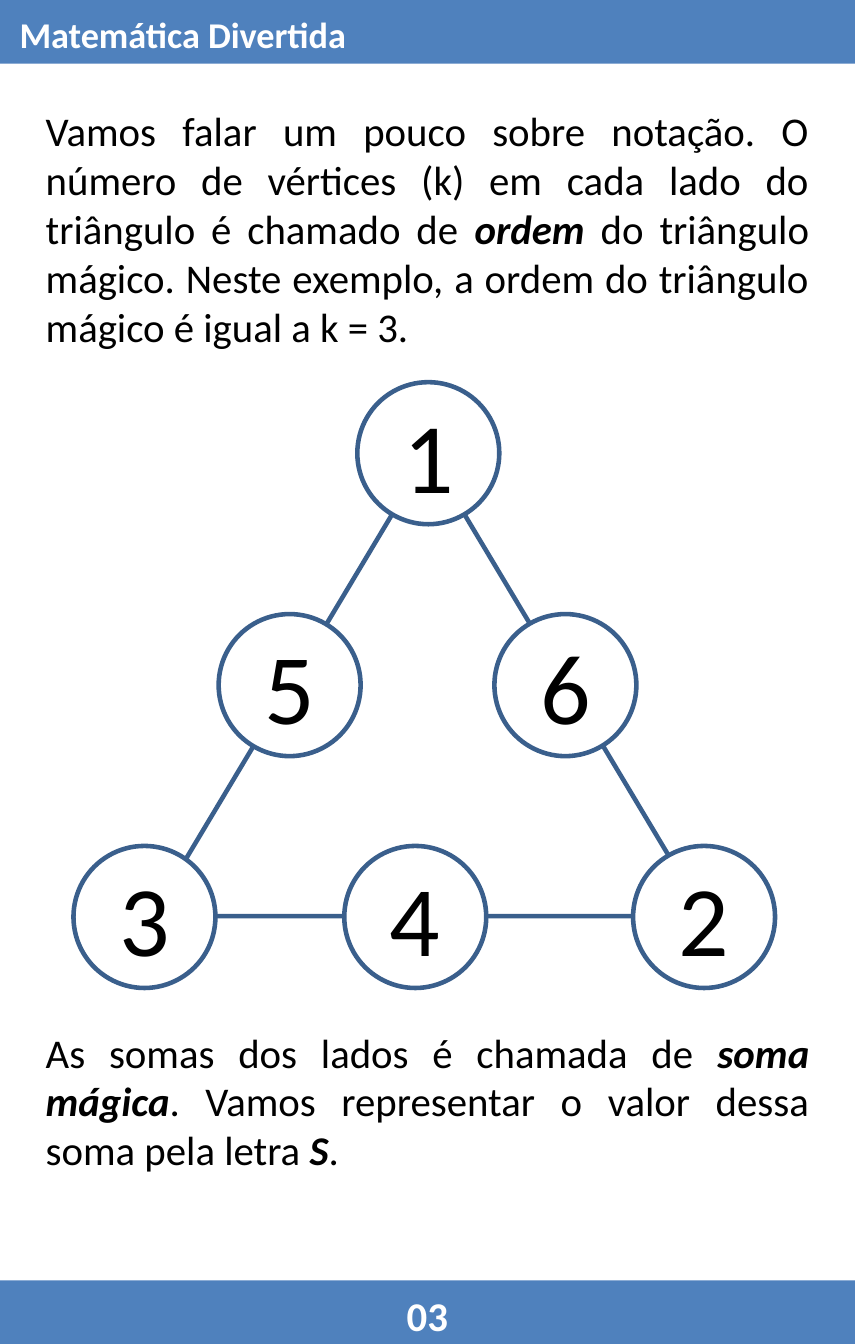
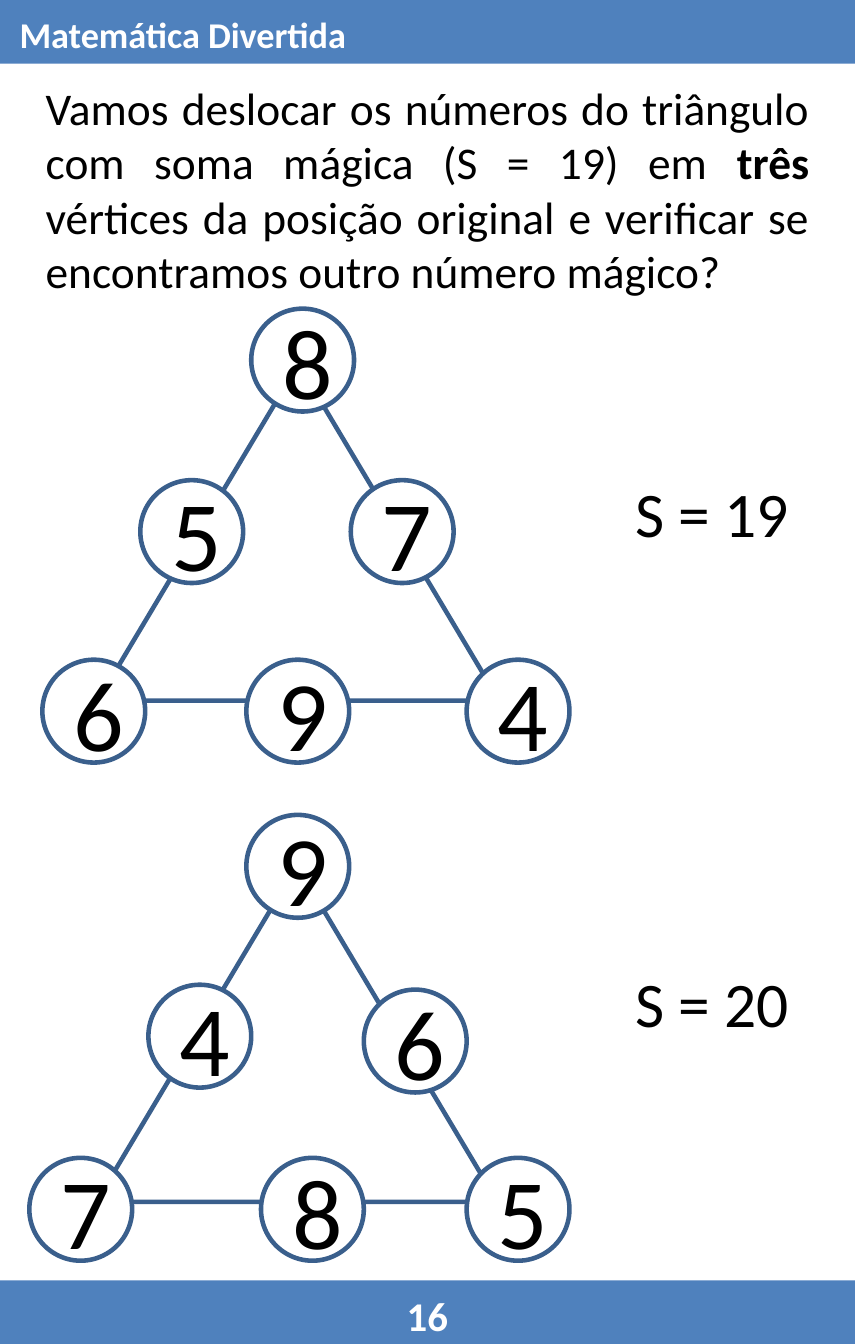
from dataclasses import dataclass

from lxml.etree import SubElement
from pptx import Presentation
from pptx.dml.color import RGBColor
from pptx.enum.shapes import MSO_SHAPE
from pptx.enum.text import MSO_ANCHOR, MSO_AUTO_SIZE, PP_ALIGN
from pptx.oxml.ns import qn
from pptx.util import Inches, Pt


@dataclass(frozen=True)
class Theme:
    font: str = "Calibri"
    band: RGBColor = RGBColor(0x4F, 0x81, 0xBD)
    outline: RGBColor = RGBColor(0x3A, 0x5F, 0x8C)
    paper: RGBColor = RGBColor(0xFF, 0xFF, 0xFF)
    ink: RGBColor = RGBColor(0, 0, 0)
    heading: int = 16
    page: int = 18
    sum: int = 28
    digit: int = 44
    stroke: int = 2


@dataclass(frozen=True)
class MagicTriangle:
    frame: tuple
    diameter: int
    digits: str
    corners: tuple


THEME = Theme()
WIDTH, HEIGHT = Pt(377.13), Pt(592.88)
COLUMNS, ROWS = 524, 823
BAND_ROWS = 39
BOLD = {"bold": True}
STRONG = {"bold": True, "italic": True}

ORDER_TRIANGLE = MagicTriangle(
    (93, 278, 339, 283), 87, "153426",
    ((219, 234), (134, 376), (45, 518), (211, 518), (388, 518), (303, 376)))
SUM_19_TRIANGLE = MagicTriangle(
    (60, 223, 246, 206), 63, "856947",
    ((154, 189), (86, 294), (26, 404), (151, 404), (286, 404), (215, 294)))
SUM_20_TRIANGLE = MagicTriangle(
    (59, 530, 246, 206), 63, "947856",
    ((151, 499), (91, 603), (18, 709), (160, 709), (286, 709), (223, 606)))

NOTATION = (
    ("Vamos falar um pouco sobre notação. O número de vértices (k) em cada "
     "lado do triângulo é chamado de ", {}),
    ("ordem ", STRONG),
    ("do triângulo mágico. Neste exemplo, a ordem do triângulo mágico é igual "
     "a k = 3.", {}))
MAGIC_SUM = (
    ("As somas dos lados é chamada de ", {}),
    ("soma mágica", STRONG),
    (". Vamos representar o valor dessa soma pela letra ", {}),
    ("S", STRONG),
    (".", {}))
SHIFT = (
    ("Vamos deslocar os números do triângulo com soma mágica (S = 19) em ", {}),
    ("três", BOLD),
    (" vértices da posição original e verificar se encontramos outro número "
     "mágico?", {}))


def assign(target, **values):
    for name, value in values.items():
        setattr(target, name, value)


def grid(left, top, columns, rows):
    return (WIDTH * left // COLUMNS, HEIGHT * top // ROWS,
            WIDTH * columns // COLUMNS, HEIGHT * rows // ROWS)


def place(part, cells):
    left, top, width, height = grid(*cells)
    assign(part, left=left, top=top, width=width, height=height)


def write(part, runs, size, color, align, anchor=MSO_ANCHOR.MIDDLE):
    assign(part.text_frame, word_wrap=True, auto_size=MSO_AUTO_SIZE.NONE,
           vertical_anchor=anchor)
    paragraph = part.text_frame.paragraphs[0]
    paragraph.alignment = align
    for text, emphasis in runs:
        run = paragraph.add_run()
        run.text = text
        assign(run.font, name=THEME.font, size=Pt(size), **emphasis)
        run.font.color.rgb = color
    return paragraph


def paint(part, color):
    part.fill.solid()
    part.fill.fore_color.rgb = color


def add_outline(slide, preset, cells):
    figure = slide.shapes.add_shape(preset, *grid(*cells))
    figure.shadow.inherit = False
    figure.line.color.rgb = THEME.outline
    figure.line.width = Pt(THEME.stroke)
    return figure


def add_page_band(slide, page):
    band = slide.shapes.add_shape(
        MSO_SHAPE.RECTANGLE, *grid(0, ROWS - BAND_ROWS, COLUMNS, BAND_ROWS))
    band.shadow.inherit = False
    band.line.fill.background()
    paint(band, THEME.band)
    band.text_frame.margin_top = Inches(0.08)
    write(band, [(f"{page:02}", BOLD)], THEME.page, THEME.paper, PP_ALIGN.CENTER)


def fill_heading(slide):
    heading = slide.shapes.title
    place(heading, (0, 0, COLUMNS, BAND_ROWS))
    paint(heading, THEME.band)
    assign(heading.text_frame, margin_left=Inches(0.12),
           margin_top=Inches(0.07), margin_bottom=Inches(0.04))
    write(heading, [("Matemática Divertida", BOLD)], THEME.heading,
          THEME.paper, PP_ALIGN.LEFT)


def fill_passage(passage, runs, size, top, rows):
    place(passage, (18, top, 488, rows))
    properties = passage.text_frame.paragraphs[0]._p.get_or_add_pPr()
    properties.set("marL", "0")
    properties.set("indent", "0")
    SubElement(properties, qn("a:buNone"))
    paragraph = write(passage, runs, size, THEME.ink, PP_ALIGN.JUSTIFY,
                      MSO_ANCHOR.TOP)
    paragraph.space_before = Pt(0)


def add_magic_triangle(slide, triangle):
    sides = add_outline(slide, MSO_SHAPE.ISOSCELES_TRIANGLE, triangle.frame)
    sides.fill.background()
    for digit, corner in zip(triangle.digits, triangle.corners):
        vertex = add_outline(slide, MSO_SHAPE.OVAL,
                             (*corner, triangle.diameter, triangle.diameter))
        paint(vertex, THEME.paper)
        write(vertex, [(digit, {})], THEME.digit, THEME.ink, PP_ALIGN.CENTER)


def add_sum(slide, total, top):
    label = slide.shapes.add_textbox(*grid(378, top, 117, 57))
    write(label, [(f"S = {total}", {})], THEME.sum, THEME.ink, PP_ALIGN.CENTER)


def add_page(deck, page, size, passages, triangles, sums=()):
    layout = {1: 1, 2: 3}[len(passages)]
    slide = deck.slides.add_slide(deck.slide_layouts[layout])
    fill_heading(slide)
    add_page_band(slide, page)
    for index, (runs, top, rows) in enumerate(passages, start=1):
        fill_passage(slide.placeholders[index], runs, size, top, rows)
    for triangle in triangles:
        add_magic_triangle(slide, triangle)
    for total, top in sums:
        add_sum(slide, total, top)


def main():
    deck = Presentation()
    assign(deck, slide_width=WIDTH, slide_height=HEIGHT)
    add_page(deck, 3, 18, [(NOTATION, 60, 162), (MAGIC_SUM, 624, 101)],
             [ORDER_TRIANGLE])
    add_page(deck, 16, 20, [(SHIFT, 44, 145)],
             [SUM_19_TRIANGLE, SUM_20_TRIANGLE], [(19, 285), (20, 585)])
    deck.save("out.pptx")


if __name__ == "__main__":
    main()
